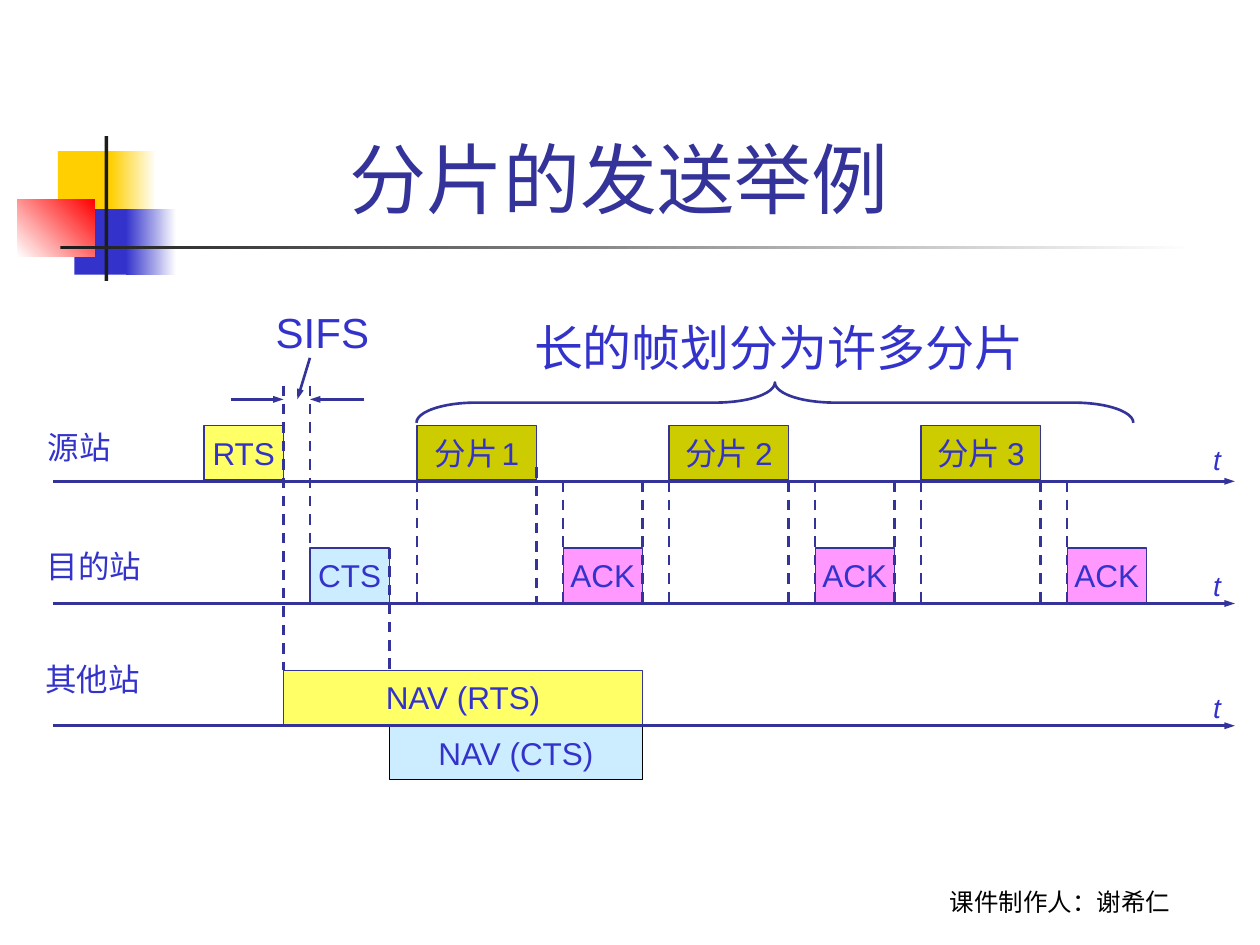
from lxml import etree
from pptx import Presentation
from pptx.dml.color import RGBColor
from pptx.enum import dml, shapes, text
from pptx.oxml.ns import qn
from pptx.util import Inches, Pt

BLUE, NAVY, BLACK = "3333CC", "333399", "1C1C1C"
YELLOW, SKY, OLIVE, PINK = "FFFF66", "CCECFF", "CCCC00", "FF99FF"
SOURCE, DESTINATION, OTHERS = 3.82, 4.79, 5.76  # heights of the time axes
RISE, BOX_HEIGHT = 0.44, 0.43
SHORT, LONG, PERIOD = 0.63, 0.95, 2
RTS_END, CTS_START, CTS_END = 2.25, 2.46, 3.09
FRAGMENT_START, ACK_START = 3.31, 4.47
CENTER = text.PP_ALIGN.CENTER


def color(value):
    return RGBColor.from_string(value)


def write_text(frame, content, size=18, fill=BLUE, font="Arial", align=CENTER, italic=None):
    """Append a formatted run to the first paragraph of the frame."""
    paragraph = frame.paragraphs[0]
    paragraph.alignment = align
    run = paragraph.add_run()
    run.text = content
    run.font.size = Pt(size)
    run.font.name = font
    run.font.italic = italic
    run.font.color.rgb = color(fill)


def add_label(slide, content, left, top, width, height, **text_format):
    frame = slide.shapes.add_textbox(*map(Inches, (left, top, width, height))).text_frame
    frame.word_wrap = False
    frame.auto_size = text.MSO_AUTO_SIZE.SHAPE_TO_FIT_TEXT
    write_text(frame, content, **text_format)
    return frame


def add_rectangle(slide, left, top, width, height):
    shape = slide.shapes.add_shape(
        shapes.MSO_SHAPE.RECTANGLE, *map(Inches, (left, top, width, height)))
    shape.shadow.inherit = False
    return shape


def add_decoration(slide, position, start, end=None, angle=0):
    """Add a borderless block, solid or fading from start to end."""
    shape = add_rectangle(slide, *position)
    shape.line.fill.background()
    if end is None:
        shape.fill.solid()
        shape.fill.fore_color.rgb = color(start)
        return
    shape.fill.gradient()
    shape.fill.gradient_angle = angle
    for stop, value in zip(shape.fill.gradient_stops, (start, end)):
        stop.color.rgb = color(value)


def add_frame_box(slide, content, left, top, width, fill, outline=NAVY):
    """Add a transmitted frame; content is a list of (text, size) runs."""
    shape = add_rectangle(slide, left, top, width, BOX_HEIGHT)
    shape.fill.solid()
    shape.fill.fore_color.rgb = color(fill)
    shape.line.color.rgb = color(outline)
    shape.line.width = Pt(0.75)
    shape.text_frame.word_wrap = False
    shape.text_frame.vertical_anchor = text.MSO_ANCHOR.MIDDLE
    for words, size in content:
        write_text(shape.text_frame, words, size)


def add_line(slide, start, end, dashed=False, arrow=False):
    connector = slide.shapes.add_connector(
        shapes.MSO_CONNECTOR.STRAIGHT, *map(Inches, (*start, *end)))
    connector.line.color.rgb = color(NAVY)
    connector.line.width = Pt(1.5)
    if dashed:
        connector.line.dash_style = dml.MSO_LINE.DASH
    properties = connector._element.spPr
    if arrow:
        etree.SubElement(properties.find(qn("a:ln")), qn("a:tailEnd"),
                         type="triangle", w="sm", len="med")
    etree.SubElement(properties, qn("a:effectLst"))


def add_dashed(slide, x, top, bottom):
    add_line(slide, (x, top), (x, bottom), dashed=True)


def add_brace(slide):
    brace = slide.shapes.add_shape(
        shapes.MSO_SHAPE.RIGHT_BRACE, *map(Inches, (5.99, 0.35, 0.32, 5.69)))
    brace.rotation = 270
    brace.adjustments[0] = 1.48
    brace.shadow.inherit = False
    brace.fill.background()
    brace.line.color.rgb = color(NAVY)
    brace.line.width = Pt(1.5)


def add_template_art(slide):
    add_decoration(slide, (0.46, 1.2, 0.48, 0.52), "FFCF01")
    add_decoration(slide, (0.88, 1.2, 0.36, 0.52), "FFCF01", "FFFFFF")
    add_decoration(slide, (0.59, 1.66, 0.46, 0.52), BLUE)
    add_decoration(slide, (1, 1.66, 0.4, 0.52), BLUE, "FFFFFF")
    add_decoration(slide, (0.14, 1.58, 0.61, 0.46), "FFFFFF", "FF0000", angle=45)
    add_decoration(slide, (0.83, 1.08, 0.03, 1.15), BLACK)
    add_decoration(slide, (0.48, 1.95, 9, 0.03), BLACK, "FFFFFF")
    credit = add_label(slide, "课件制作人：谢希仁", 6.83, 6.82, 3.17, 0.5,
                       size=14, fill="000000", font="Roboto")
    credit.word_wrap = True
    credit.auto_size = text.MSO_AUTO_SIZE.NONE
    credit.vertical_anchor = text.MSO_ANCHOR.BOTTOM


def add_title(slide, content):
    title = slide.shapes.title
    title.left, title.top, title.width, title.height = map(Inches, (1.26, 0.23, 7.44, 1.6))
    title.text_frame.auto_size = text.MSO_AUTO_SIZE.NONE
    title.text_frame.vertical_anchor = text.MSO_ANCHOR.BOTTOM
    write_text(title.text_frame, content, size=44, fill=NAVY)


def add_handshake(slide):
    add_frame_box(slide, [("RTS", 18)], 1.62, SOURCE - RISE, SHORT, YELLOW)
    add_frame_box(slide, [("CTS", 18)], CTS_START, DESTINATION - RISE, SHORT, SKY)
    add_dashed(slide, RTS_END, 3.06, OTHERS - RISE)
    add_dashed(slide, CTS_START, 3.06, DESTINATION)
    add_dashed(slide, CTS_END, DESTINATION - RISE, OTHERS - RISE)

    add_label(slide, "SIFS", 2.09, 2.38, 0.94, 0.5, size=24, align=text.PP_ALIGN.LEFT)
    for start, end in (((1.83, 3.17), (RTS_END, 3.17)),
                       ((2.89, 3.17), (CTS_START, 3.17)),
                       ((2.46, 2.84), (2.36, 3.17))):
        add_line(slide, start, end, arrow=True)


def add_fragments(slide):
    for index in range(3):
        fragment = FRAGMENT_START + index * PERIOD
        ack = ACK_START + index * PERIOD
        first, last = index == 0, index == 2
        gap_size = 10 if first else 18
        add_frame_box(slide, [("分片", 18), (" ", gap_size), (str(index + 1), 18)],
                      fragment, SOURCE - RISE, LONG, OLIVE)
        add_frame_box(slide, [("ACK", 18)], ack, DESTINATION - RISE, SHORT, PINK)
        add_dashed(slide, fragment, SOURCE - RISE if first else SOURCE, DESTINATION)
        add_dashed(slide, fragment + LONG, 3.71 if first else SOURCE, DESTINATION)
        add_dashed(slide, ack, SOURCE, DESTINATION)
        if not last:
            add_dashed(slide, ack + SHORT, SOURCE, DESTINATION)
    add_brace(slide)
    add_label(slide, "长的帧划分为许多分片", 4.14, 2.47, 4.08, 0.57,
              size=28, align=text.PP_ALIGN.LEFT)


def add_nav_periods(slide):
    end = ACK_START + SHORT
    add_frame_box(slide, [("NAV (RTS)", 18)], RTS_END, OTHERS - RISE, end - RTS_END, YELLOW)
    add_frame_box(slide, [("NAV (CTS)", 18)], CTS_END, OTHERS, end - CTS_END, SKY, "000000")


def add_axes(slide):
    stations = ((SOURCE, 3.46, "源站", (0.28, 3.35, 0.7, 0.4)),
                (DESTINATION, 4.46, "目的站", (0.27, 4.29, 0.95, 0.4)),
                (OTHERS, 5.43, " 其他站", (0.2, 5.19, 1.01, 0.4)))
    for axis, time_top, station, position in stations:
        add_line(slide, (0.42, axis), (9.8, axis), arrow=True)
        add_label(slide, station, *position)
        add_label(slide, "t", 9.53, time_top, 0.26, 0.37,
                  size=16, align=text.PP_ALIGN.LEFT, italic=True)


def main():
    presentation = Presentation()
    presentation.slide_width, presentation.slide_height = Inches(10), Inches(7.5)
    slide = presentation.slides.add_slide(presentation.slide_layouts[5])
    add_template_art(slide)
    add_title(slide, "分片的发送举例 ")
    add_handshake(slide)
    add_fragments(slide)
    add_nav_periods(slide)
    add_axes(slide)
    presentation.save("out.pptx")


if __name__ == "__main__":
    main()
